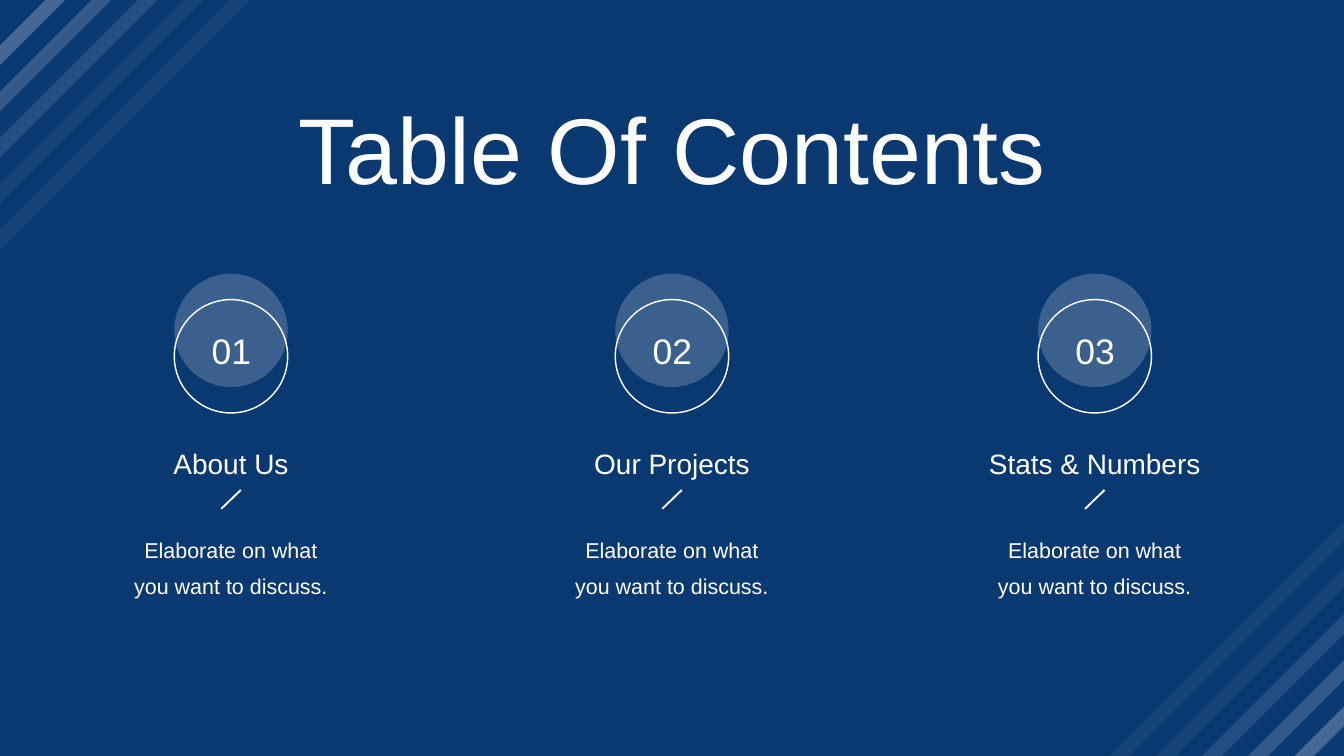
import pptx
import pptx.dml.color
import pptx.enum.shapes
import pptx.enum.text
import pptx.oxml.ns
import pptx.util
from lxml import etree

PX = 9525  # EMU per px, slide of 1920 x 1080 px
COLORS = {"background": "0A3972", "foreground": "FFFFFF"}
WHITE = pptx.dml.color.RGBColor.from_string(COLORS["foreground"])
SHAPES = pptx.enum.shapes.MSO_SHAPE

deck = pptx.Presentation()
deck.slide_width = 1920 * PX
deck.slide_height = 1080 * PX
slide = deck.slides.add_slide(deck.slide_layouts[6])
slide.background.fill.solid()
slide.background.fill.fore_color.rgb = pptx.dml.color.RGBColor.from_string(COLORS["background"])


def write_text(text, center, top, width, height, size, spacing=1.2):
    """Place centred text around the x position center, one paragraph per line."""
    box = slide.shapes.add_textbox((center - width // 2) * PX, top * PX, width * PX, height * PX)
    frame = box.text_frame
    frame.word_wrap = True
    frame.auto_size = pptx.enum.text.MSO_AUTO_SIZE.SHAPE_TO_FIT_TEXT
    frame.margin_left = frame.margin_right = frame.margin_top = frame.margin_bottom = 0
    frame.text = text
    for paragraph in frame.paragraphs:
        paragraph.alignment = pptx.enum.text.PP_ALIGN.CENTER
        paragraph.line_spacing = spacing
        paragraph.font.name = "Arial"
        paragraph.font.size = pptx.util.Pt(size)
        paragraph.font.color.rgb = WHITE


def add_tinted(kind, left, top, width, height, opacity):
    """Add a borderless white shape; opacity is in percent."""
    shape = slide.shapes.add_shape(kind, left * PX, top * PX, width * PX, height * PX)
    shape.shadow.inherit = False
    shape.line.fill.background()
    shape.fill.solid()
    shape.fill.fore_color.rgb = WHITE
    color = shape.fill._xPr.find(".//" + pptx.oxml.ns.qn("a:srgbClr"))
    etree.SubElement(color, pptx.oxml.ns.qn("a:alpha"), val=str(opacity * 1000))
    return shape


# Topics: number, heading, column centre, heading width
topics = [
    ("01", "About Us", 330, 348),
    ("02", "Our Projects", 960, 348),
    ("03", "Stats & Numbers", 1564, 398),
]
diameter = 162
for number, heading, center, heading_width in topics:
    circle_left = center - diameter // 2
    add_tinted(SHAPES.OVAL, circle_left, 391, diameter, diameter, 20)
    ring = slide.shapes.add_shape(
        SHAPES.OVAL, circle_left * PX, 428 * PX, diameter * PX, diameter * PX)
    ring.shadow.inherit = False
    ring.fill.background()
    ring.line.color.rgb = WHITE
    ring.line.width = pptx.util.Pt(1.5)
    write_text(number, center, 458, 97, 60, size=38)

    slash = slide.shapes.add_connector(
        pptx.enum.shapes.MSO_CONNECTOR.STRAIGHT,
        (center - 14) * PX, 727 * PX, (center + 14) * PX, 700 * PX)
    slash.line.color.rgb = WHITE
    slash.line.width = pptx.util.Pt(2)
    etree.SubElement(slash._element.spPr, pptx.oxml.ns.qn("a:effectLst"))
    write_text(heading, center, 629, heading_width, 47, size=30)
    write_text("Elaborate on what\nyou want to discuss.", center, 753, 348, 82,
               size=23, spacing=1.4)

write_text("Table Of Contents", 960, 97, 1733, 160, size=100, spacing=1.21)

# Diagonal stripes fade from each corner towards the middle
corners = [(0, -471, 33, 45), (1872, 521, -33, 225)]
for left, top, step, angle in corners:
    for i, opacity in enumerate([24, 17, 11, 5, 5]):
        stripe = add_tinted(SHAPES.RECTANGLE, left + i * step, top + i * step, 20, 1080, opacity)
        stripe.rotation = angle

deck.save("out.pptx")
